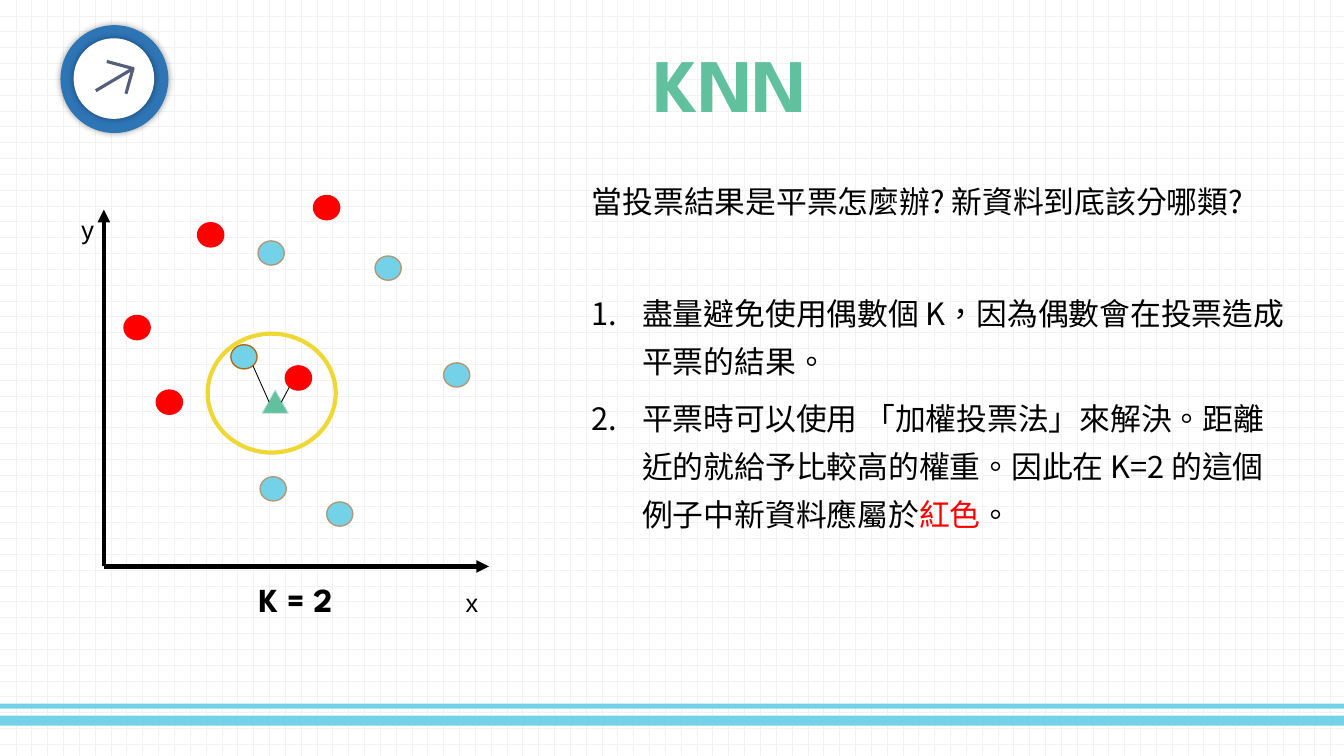
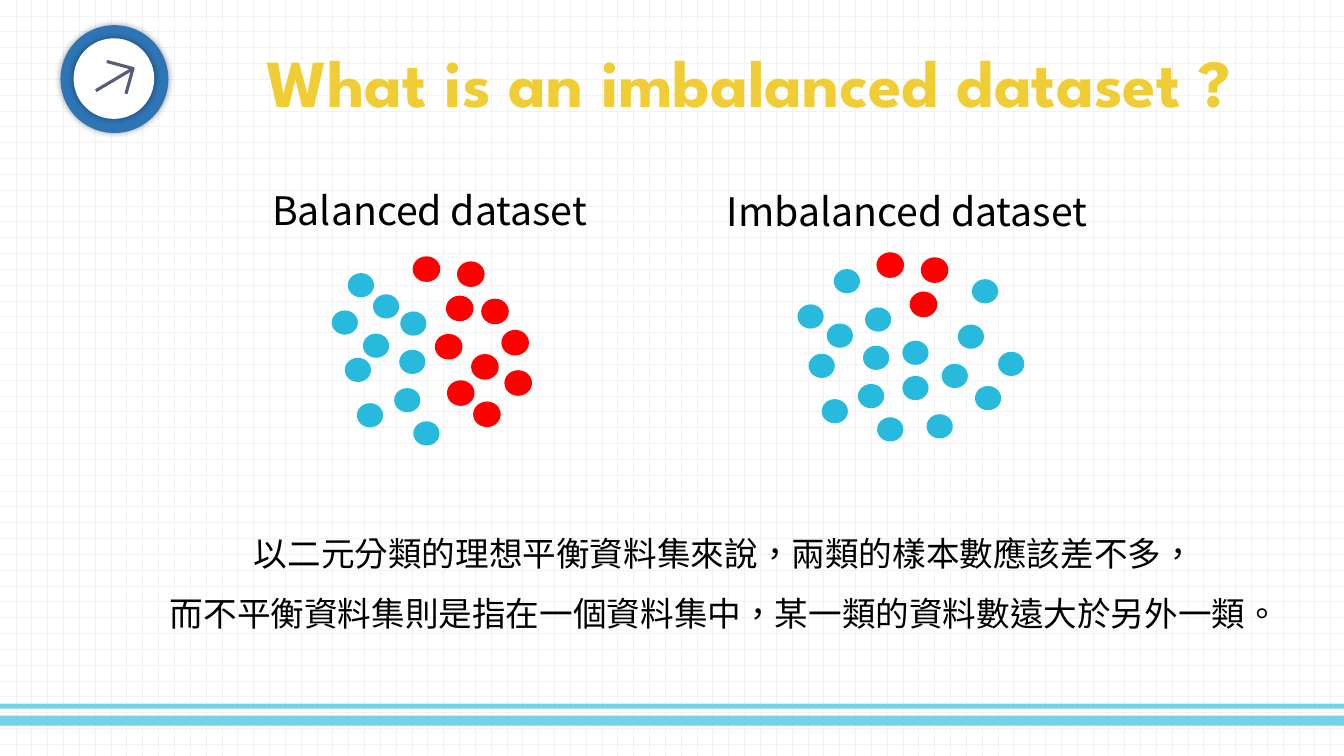
from lxml.etree import SubElement
from pptx import Presentation
from pptx.dml.color import RGBColor
from pptx.enum.dml import MSO_PATTERN
from pptx.enum.shapes import MSO_CONNECTOR, MSO_SHAPE
from pptx.enum.text import MSO_ANCHOR, MSO_AUTO_SIZE, PP_ALIGN
from pptx.oxml.ns import qn
from pptx.util import Pt

PX = 9144
WIDTH, HEIGHT = 1333, 750
TITLE_ONLY, TITLE_AND_BODY = 5, 1

BLACK = RGBColor(0x00, 0x00, 0x00)
WHITE = RGBColor(0xFF, 0xFF, 0xFF)
GRID = RGBColor(0xF2, 0xF2, 0xF2)
SKY = RGBColor(0x73, 0xD2, 0xE8)
CYAN = RGBColor(0x28, 0xBA, 0xDC)
RED = RGBColor(0xFF, 0x00, 0x00)
GREEN = RGBColor(0x61, 0xC0, 0x9E)
GOLD = RGBColor(0xF1, 0xCD, 0x35)
YELLOW = RGBColor(0xEF, 0xD8, 0x36)
TAN = RGBColor(0xB2, 0x98, 0x79)
BROWN = RGBColor(0xAD, 0x6D, 0x1C)
PALE = RGBColor(0xC1, 0xD9, 0xDF)
BADGE_BLUE = RGBColor(0x2E, 0x75, 0xB6)
SLATE = RGBColor(0x54, 0x5D, 0x79)

DISPLAY, CJK, PLAIN = "League Spartan", "Noto Sans CJK SC", "Arial"
DOT_W, DOT_H = 26, 24

KNN_DOTS = [
    (SKY, TAN, [(337, 152), (153, 31), (155, 265), (269, 46), (221, 290)]),
    (SKY, BROWN, [(126, 134)]),
    (RED, RED, [(52, 179), (208, -14), (180, 155), (20, 105), (93, 13)]),
]
BALANCED = [
    (CYAN, None, [(62, 130), (16, 16), (0, 53), (41, 37), (68, 54), (67, 92),
                  (31, 76), (13, 100), (25, 145), (81, 163)]),
    (RED, RED, [(139, 97), (81, 0), (125, 5), (103, 77), (141, 144),
                (172, 113), (149, 42), (169, 73), (114, 39), (115, 123)]),
]
IMBALANCED = [
    (CYAN, None, [(60, 130), (36, 16), (29, 70), (0, 51), (67, 54), (65, 92),
                  (199, 98), (11, 100), (24, 145), (79, 163), (104, 87),
                  (104, 122), (143, 110), (176, 132), (128, 160), (173, 26),
                  (159, 71)]),
    (RED, RED, [(79, 0), (123, 5), (112, 39)]),
]


def emu(*lengths):
    """Turn px lengths into EMU."""
    return [n * PX for n in lengths]


def paint(sp, fill=None, line=None, width=1):
    """Set fill and outline of a shape and clear its shadow."""
    sp.shadow.inherit = False
    if fill is None:
        sp.fill.background()
    else:
        sp.fill.solid()
        sp.fill.fore_color.rgb = fill
    if line is None:
        sp.line.fill.background()
    else:
        sp.line.color.rgb = line
        sp.line.width = Pt(width)


def add_shape(shapes, kind, box, fill=None, line=None, width=1):
    """Add a painted preset shape."""
    sp = shapes.add_shape(kind, *emu(*box))
    paint(sp, fill, line, width)
    return sp


def add_line(shapes, ends, color, width, arrow=False):
    """Add a straight line, with an arrowhead at its end on request."""
    sp = shapes.add_connector(MSO_CONNECTOR.STRAIGHT, *emu(*ends))
    sp.line.color.rgb = color
    sp.line.width = Pt(width)
    props = sp.element.spPr
    if arrow:
        SubElement(props.find(qn("a:ln")), qn("a:tailEnd"), type="triangle")
    SubElement(props, qn("a:effectLst"))


def add_glow(sp):
    """Give a shape a soft shadow on all sides."""
    effects = sp.element.spPr.find(qn("a:effectLst"))
    shadow = SubElement(effects, qn("a:outerShdw"), blurRad=str(Pt(5)),
                        dist="0", dir="0", algn="ctr", rotWithShape="0")
    color = SubElement(shadow, qn("a:srgbClr"), val=str(BLACK))
    SubElement(color, qn("a:alpha"), val="40000")


def add_run(p, text, size, font, color=BLACK, bold=False):
    """Append a formatted run to a paragraph."""
    r = p.add_run()
    r.text = text
    r.font.size = Pt(size)
    r.font.bold = bold
    r.font.color.rgb = color
    r.font.name = font
    props = r.font._element
    props.set("lang", "zh-TW" if font == CJK else "en-US")
    SubElement(props, qn("a:ea"), typeface=font)


def next_paragraph(tf, index):
    """Return the first paragraph of a frame or a new one."""
    return tf.add_paragraph() if index else tf.paragraphs[0]


def add_text(s, box, lines, size, font, align=PP_ALIGN.LEFT, bold=False,
             pitch=None, wrap=True):
    """Add a text box with one paragraph for each line."""
    tf = s.shapes.add_textbox(*emu(*box)).text_frame
    tf.word_wrap = wrap
    for i, line in enumerate(lines):
        p = next_paragraph(tf, i)
        p.alignment = align
        if pitch:
            p.line_spacing = Pt(pitch)
        add_run(p, line, size, font, bold=bold)


def place(sp, box):
    """Move a placeholder to a box."""
    sp.left, sp.top, sp.width, sp.height = emu(*box)
    sp.text_frame.word_wrap = True
    sp.text_frame.auto_size = MSO_AUTO_SIZE.NONE


def add_title(s, box, text, size, color):
    """Fill the title placeholder."""
    sp = s.shapes.title
    place(sp, box)
    sp.text_frame.vertical_anchor = MSO_ANCHOR.MIDDLE
    p = sp.text_frame.paragraphs[0]
    p.alignment = PP_ALIGN.CENTER
    p.space_before = Pt(0)
    add_run(p, text, size, DISPLAY, color, True)


def add_badge(s, x, y):
    """Draw the round arrow badge with its corner at x, y."""
    shapes = s.shapes.add_group_shape().shapes
    for inset, size, fill in ((0, 107, BADGE_BLUE), (13, 80, WHITE)):
        box = (x + inset, y + inset, size, size)
        add_glow(add_shape(shapes, MSO_SHAPE.OVAL, box, fill))
    tip = (x + 72, y + 43)
    head = shapes.build_freeform(x + 46, y + 36, scale=PX)
    head.add_line_segments([tip, (x + 65, y + 68)], close=False)
    paint(head.convert_to_shape(), None, SLATE, 2.25)
    add_line(shapes, (x + 35, y + 65, *tip), SLATE, 2.25)


def add_dots(shapes, x, y, classes):
    """Draw the points of each class relative to x, y."""
    for fill, line, points in classes:
        for dx, dy in points:
            box = (x + dx, y + dy, DOT_W, DOT_H)
            add_shape(shapes, MSO_SHAPE.OVAL, box, fill, line)


def add_knn_plot(s, x, y, w, h):
    """Draw the neighbour plot inside its axes box."""
    shapes = s.shapes
    for end in ((x, y), (x + w, y + h)):
        add_line(shapes, (x, y + h, *end), BLACK, 3, True)
    for text, left, top in (("y", x - 32, y), ("x", x + w - 33, y + h + 16)):
        add_text(s, (left, top, 33, 40), [text], 18, PLAIN, wrap=False)
    add_dots(shapes, x, y, KNN_DOTS)
    add_shape(shapes, MSO_SHAPE.ISOSCELES_TRIANGLE,
              (x + 157, y + 179, 26, 23), GREEN, PALE, 0.63)
    add_shape(shapes, MSO_SHAPE.OVAL, (x + 103, y + 123, 127, 118),
              None, YELLOW, 3)
    add_text(s, (x + 144, y + h + 7, 143, 50), ["K = 2"], 24, DISPLAY, bold=True)
    for x1, y1, x2, y2 in ((148, 155, 164, 191), (176, 191, 184, 176)):
        add_line(shapes, (x + x1, y + y1, x + x2, y + y2), BLACK, 0.63)


def add_tie_advice(s, box):
    """Fill the body placeholder with a question and numbered answers."""
    paragraphs = [
        (False, 0, [("當投票結果是平票怎麼辦? 新資料到底該分哪類?", BLACK)]),
        (True, 46, [("盡量避免使用偶數個 K，因為偶數會在投票造成平票的結果。", BLACK)]),
        (True, 6, [("平票時可以使用 「加權投票法」來解決。距離近的就給予比較高的權重。"
                    "因此在 K=2 的這個例子中新資料應屬於", BLACK),
                   ("紅色", RED), ("。", BLACK)]),
    ]
    sp = s.placeholders[1]
    place(sp, box)
    for i, (numbered, before, runs) in enumerate(paragraphs):
        p = next_paragraph(sp.text_frame, i)
        props = p._p.get_or_add_pPr()
        indent = 50 * PX if numbered else 0
        props.set("marL", str(indent))
        props.set("indent", str(-indent))
        if numbered:
            SubElement(props, qn("a:buFont"), typeface=CJK)
            SubElement(props, qn("a:buAutoNum"), type="arabicPeriod")
        else:
            SubElement(props, qn("a:buNone"))
        p.alignment = PP_ALIGN.LEFT
        p.line_spacing = Pt(34.3)
        p.space_before = Pt(before)
        for text, color in runs:
            add_run(p, text, 22, CJK, color)


def style_master(prs, s):
    """Give the master its grid background and footer bands."""
    master = prs.slide_master
    fill = master.background.fill
    fill.patterned()
    fill.pattern = MSO_PATTERN.DOTTED_GRID
    fill.fore_color.rgb = GRID
    fill.back_color.rgb = WHITE
    for top, height in ((710, 10), (698, 5)):
        band = add_shape(s.shapes, MSO_SHAPE.RECTANGLE,
                         (0, top, WIDTH, height), SKY)
        master.shapes.element.append(band.element)


def add_slide(prs, layout, title_box, title, size, color):
    """Add a slide with its title and badge."""
    s = prs.slides.add_slide(prs.slide_layouts[layout])
    add_title(s, title_box, title, size, color)
    add_badge(s, 60, 25)
    return s


def build_knn(prs):
    """Build the slide on tied votes."""
    s = add_slide(prs, TITLE_AND_BODY, (150, 46, 1150, 71), "KNN", 54, GREEN)
    add_knn_plot(s, 103, 208, 382, 354)
    add_tie_advice(s, (577, 165, 707, 367))
    return s


def build_imbalance(prs):
    """Build the slide comparing two datasets."""
    s = add_slide(prs, TITLE_ONLY, (168, 45, 1150, 71),
                  "What is an imbalanced dataset ?", 48, GOLD)
    datasets = [
        ("Balanced dataset", (206, 180, 440, 57), (329, 255), BALANCED),
        ("Imbalanced dataset", (670, 181, 459, 57), (791, 251), IMBALANCED),
    ]
    for caption, box, corner, classes in datasets:
        add_text(s, box, [caption], 28, CJK, PP_ALIGN.CENTER)
        add_dots(s.shapes.add_group_shape().shapes, *corner, classes)
    lines = ["以二元分類的理想平衡資料集來說，兩類的樣本數應該差不多，",
             "而不平衡資料集則是指在一個資料集中，某一類的資料數遠大於另外一類。"]
    add_text(s, (132, 504, 1173, 124), lines, 24, CJK, PP_ALIGN.CENTER, pitch=43)


def main():
    """Build and save the presentation."""
    prs = Presentation()
    prs.slide_width, prs.slide_height = emu(WIDTH, HEIGHT)
    style_master(prs, build_knn(prs))
    build_imbalance(prs)
    prs.save("out.pptx")


if __name__ == "__main__":
    main()
